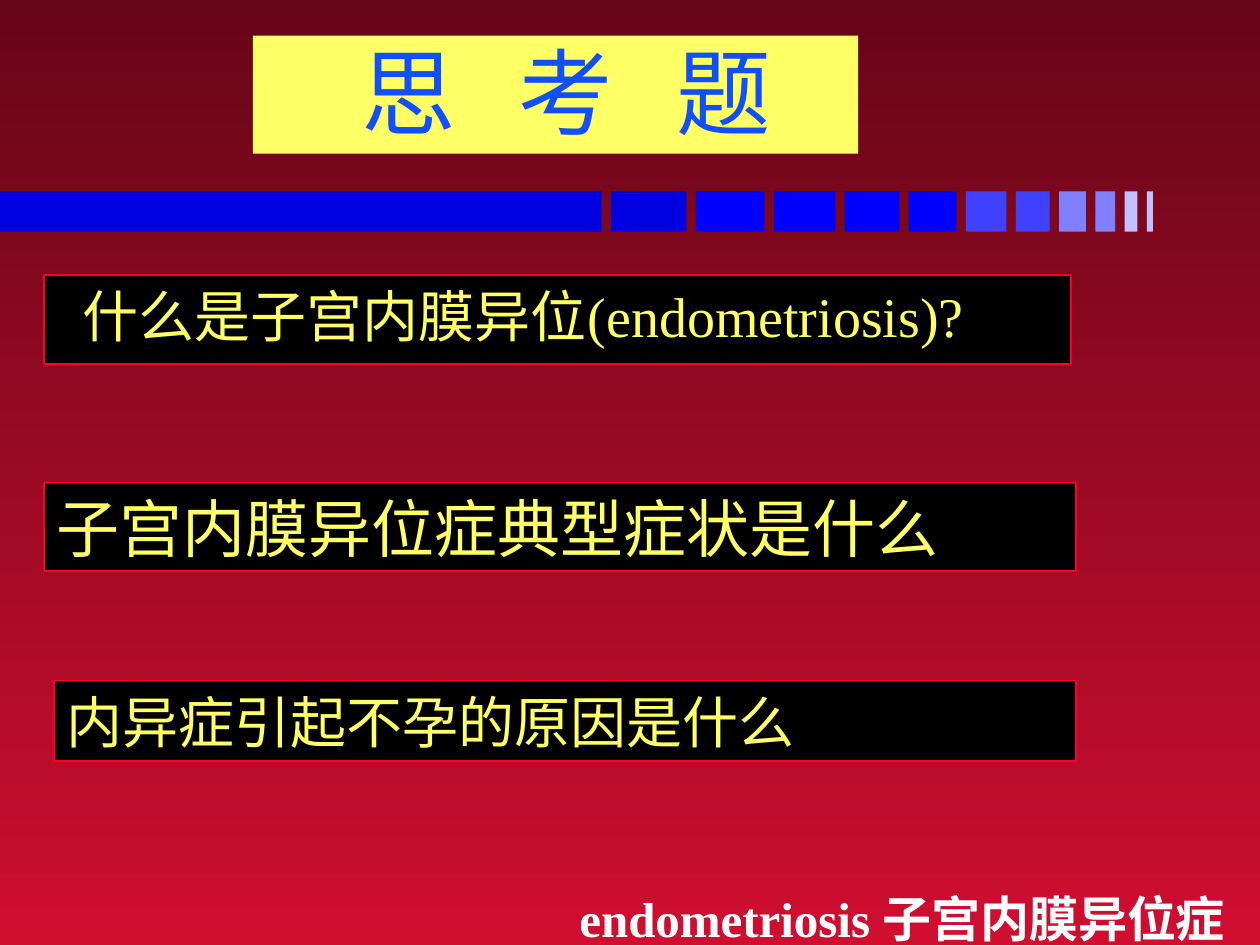
from dataclasses import dataclass

from lxml import etree
from pptx import Presentation
from pptx import util as u
from pptx.dml.color import RGBColor
from pptx.enum import shapes, text
from pptx.oxml.ns import qn


@dataclass(frozen=True)
class Theme:
    backdrop: tuple = ("660617", "CF0E30")
    bar_tints: tuple = ("0000E0",) * 2 + ("0000FF",) * 4 + ("4040FF",) * 2 + ("8080FF",) * 2 + ("C0C0FF",) * 2
    yellow: str = "FFFF66"
    blue: str = "114FFB"
    black: str = "000000"
    red: str = "FC0128"
    white: str = "FFFFFF"
    serif: str = "Times New Roman"
    sans: str = "Arial"
    title_size: int = 54
    large_size: int = 36
    question_size: int = 32
    footer_size: int = 28
    title_tracking: int = 12


@dataclass(frozen=True)
class Box:
    left: float
    top: float
    width: float
    height: float


@dataclass(frozen=True)
class Question:
    wording: str
    box: Box
    size: int
    face: str
    indent: float = 0


THEME = Theme()
BAR_TOP, BAR_HEIGHT, BAR_GAP = 3.86, 0.81, 0.19
BAR_WIDTHS = [12.13] + [1.52 - 0.14 * step for step in range(11)]
QUESTIONS = [
    Question("什么是子宫内膜异位(endometriosis)?", Box(0.89, 5.54, 20.7, 1.8),
             THEME.question_size, THEME.serif, 0.53),
    Question("子宫内膜异位症典型症状是什么", Box(0.89, 9.73, 20.8, 1.78),
             THEME.large_size, THEME.sans),
    Question("内异症引起不孕的原因是什么", Box(1.09, 13.72, 20.6, 1.63),
             THEME.question_size, THEME.sans),
]


def color(code: str) -> RGBColor:
    return RGBColor.from_string(code)


def place(shape, box: Box) -> None:
    shape.left, shape.top = u.Cm(box.left), u.Cm(box.top)
    shape.width, shape.height = u.Cm(box.width), u.Cm(box.height)


def paint(shape, fill: str) -> None:
    shape.fill.solid()
    shape.fill.fore_color.rgb = color(fill)


def write(shape, wording: str, size: int, face: str, tint: str,
          anchor=text.MSO_ANCHOR.TOP, align=text.PP_ALIGN.LEFT, bold: bool = False):
    frame = shape.text_frame
    frame.text = wording
    frame.word_wrap = True
    frame.auto_size = text.MSO_AUTO_SIZE.NONE
    frame.vertical_anchor = anchor
    frame.margin_left = frame.margin_right = u.Cm(0.25)
    frame.margin_top = frame.margin_bottom = u.Cm(0.13)
    line = frame.paragraphs[0]
    line.alignment = align
    line.space_before = u.Pt(0)
    line.line_spacing = 1.0
    font = line.runs[0].font
    font.name, font.size, font.bold = face, u.Pt(size), bold
    font.color.rgb = color(tint)
    return line


def draw_backdrop(slide) -> None:
    fill = slide.background.fill
    fill.gradient()
    fill.gradient_angle = 270
    for stop, tint in zip(fill.gradient_stops, THEME.backdrop):
        stop.color.rgb = color(tint)


def draw_bars(slide) -> None:
    left = 0.0
    for width, tint in zip(BAR_WIDTHS, THEME.bar_tints):
        bar = slide.shapes.add_shape(shapes.MSO_SHAPE.RECTANGLE, u.Cm(left), u.Cm(BAR_TOP),
                                     u.Cm(width), u.Cm(BAR_HEIGHT))
        paint(bar, tint)
        bar.line.fill.background()
        bar.shadow.inherit = False
        left += width + BAR_GAP


def draw_title(slide) -> None:
    title = slide.shapes.title
    place(title, Box(5.1, 0.72, 12.2, 2.38))
    paint(title, THEME.yellow)
    heading = write(title, "思 考 题", THEME.title_size, THEME.serif, THEME.blue,
                    text.MSO_ANCHOR.BOTTOM, text.PP_ALIGN.CENTER)
    heading.runs[0].font._element.set("spc", str(THEME.title_tracking * 100))
    title.text_frame.margin_left = u.Cm(0.25) + u.Pt(THEME.title_tracking)


def draw_question(shape, question: Question) -> None:
    place(shape, question.box)
    paint(shape, THEME.black)
    shape.line.color.rgb = color(THEME.red)
    shape.line.width = u.Pt(1)
    shape.shadow.inherit = False
    line = write(shape, question.wording, question.size, question.face, THEME.yellow)
    properties = line._p.get_or_add_pPr()
    properties.set("marL", str(u.Cm(question.indent)))
    properties.set("indent", "0")
    etree.SubElement(properties, qn("a:buNone"))


def draw_footer(slide) -> None:
    footer = slide.shapes.add_textbox(u.Cm(11.43), u.Cm(17.78), u.Cm(13.97), u.Cm(1.27))
    write(footer, "endometriosis 子宫内膜异位症", THEME.footer_size, THEME.serif,
          THEME.white, bold=True)


def main() -> None:
    deck = Presentation()
    deck.slide_width, deck.slide_height = u.Cm(25.4), u.Cm(19.05)
    slide = deck.slides.add_slide(deck.slide_layouts[1])
    draw_backdrop(slide)
    draw_bars(slide)
    draw_footer(slide)
    draw_title(slide)
    first, *others = QUESTIONS
    draw_question(slide.placeholders[1], first)
    for question in others:
        panel = slide.shapes.add_shape(shapes.MSO_SHAPE.RECTANGLE, 0, 0, 0, 0)
        draw_question(panel, question)
    deck.save("out.pptx")


if __name__ == "__main__":
    main()
